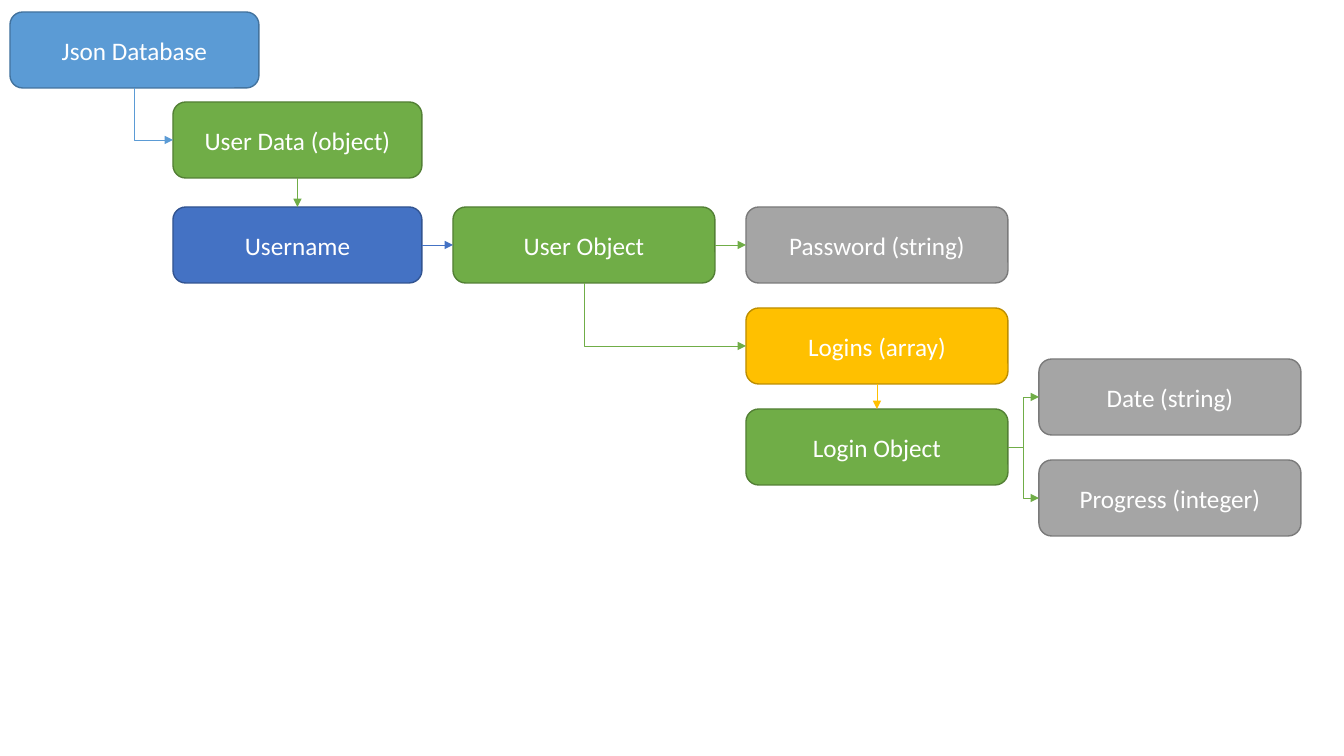
"""Build a slide that charts the structure of a Json user database."""
from lxml import etree
from pptx import Presentation
from pptx.dml.color import RGBColor
from pptx.enum.shapes import MSO_CONNECTOR, MSO_SHAPE
from pptx.enum.text import MSO_ANCHOR, PP_ALIGN
from pptx.oxml.ns import qn
from pptx.util import Pt

ROUNDED = MSO_SHAPE.ROUNDED_RECTANGLE
STRAIGHT, ELBOW = MSO_CONNECTOR.STRAIGHT, MSO_CONNECTOR.ELBOW
MIDDLE, CENTER = MSO_ANCHOR.MIDDLE, PP_ALIGN.CENTER
TOP, LEFT, BOTTOM, RIGHT = range(4)

SCALE = 914400 / 100.8
SLIDE_SIZE = (1344, 756)
BOX_HEIGHT = 76
COLUMNS = {"root": (10, 249), "user": (173, 249), "record": (453, 262),
           "field": (746, 262), "detail": (1039, 262)}
COLORS = {"database": ("5B9BD5", "43739E"), "object": ("70AD47", "538035"),
          "key": ("4472C4", "325491"), "value": ("A5A5A5", "7A7A7A"),
          "array": ("FFC000", "BD8E00")}
FONT = {"name": "Calibri", "size": Pt(18)}

BOXES = [
    ("Json Database", "root", 12, "database"),
    ("User Data (object)", "user", 102, "object"),
    ("Username", "user", 207, "key"),
    ("User Object", "record", 207, "object"),
    ("Password (string)", "field", 207, "value"),
    ("Logins (array)", "field", 308, "array"),
    ("Login Object", "field", 409, "object"),
    ("Date (string)", "detail", 359, "value"),
    ("Progress (integer)", "detail", 460, "value"),
]
ARROWS = [
    ("Json Database", BOTTOM, "User Data (object)", LEFT, "database"),
    ("User Data (object)", BOTTOM, "Username", TOP, "object"),
    ("Username", RIGHT, "User Object", LEFT, "key"),
    ("User Object", RIGHT, "Password (string)", LEFT, "object"),
    ("User Object", BOTTOM, "Logins (array)", LEFT, "object"),
    ("Logins (array)", BOTTOM, "Login Object", TOP, "array"),
    ("Login Object", RIGHT, "Date (string)", LEFT, "object"),
    ("Login Object", RIGHT, "Progress (integer)", LEFT, "object"),
]


def emu(pixels):
    return round(pixels * SCALE)


def color(value):
    return RGBColor.from_string(value)


def add_box(slide, text, column, top, kind):
    left, width = COLUMNS[column]
    shape = slide.shapes.add_shape(
        ROUNDED, emu(left), emu(top), emu(width), emu(BOX_HEIGHT))
    fill, outline = COLORS[kind]
    shape.shadow.inherit = False
    shape.fill.solid()
    shape.fill.fore_color.rgb = color(fill)
    shape.line.color.rgb = color(outline)
    shape.line.width = Pt(1)
    shape.text_frame.text = text
    shape.text_frame.vertical_anchor = MIDDLE
    paragraph = shape.text_frame.paragraphs[0]
    paragraph.alignment = CENTER
    font = paragraph.runs[0].font
    for name, value in FONT.items():
        setattr(font, name, value)
    font.color.rgb = color("FFFFFF")
    return shape


def site_point(shape, site):
    across = {LEFT: 0, RIGHT: 2}.get(site, 1)
    down = {TOP: 0, BOTTOM: 2}.get(site, 1)
    return (shape.left + shape.width * across // 2,
            shape.top + shape.height * down // 2)


def turn_down_then_right(connector, start, end):
    run, drop = end[0] - start[0], end[1] - start[1]
    connector.left = start[0] + (run - drop) // 2
    connector.top = start[1] + (drop - run) // 2
    connector.width, connector.height = drop, run
    properties = connector._element.spPr
    properties.find(qn("a:prstGeom")).set("prst", "bentConnector2")
    frame = properties.find(qn("a:xfrm"))
    frame.set("rot", "16200000")
    frame.set("flipH", "1")


def add_arrow(slide, source, source_site, target, target_site, kind):
    start, end = site_point(source, source_site), site_point(target, target_site)
    aligned = start[0] == end[0] or start[1] == end[1]
    connector = slide.shapes.add_connector(
        STRAIGHT if aligned else ELBOW, *start, *end)
    connector.begin_connect(source, source_site)
    connector.end_connect(target, target_site)
    if (source_site, target_site) == (BOTTOM, LEFT):
        turn_down_then_right(connector, start, end)
    connector.line.color.rgb = color(COLORS[kind][0])
    connector.line.width = Pt(0.5)
    properties = connector._element.spPr
    etree.SubElement(properties.find(qn("a:ln")), qn("a:tailEnd"), type="triangle")
    etree.SubElement(properties, qn("a:effectLst"))


def main():
    presentation = Presentation()
    presentation.slide_width, presentation.slide_height = map(emu, SLIDE_SIZE)
    slide = presentation.slides.add_slide(presentation.slide_layouts[6])
    boxes = {box[0]: add_box(slide, *box) for box in BOXES}
    for source, source_site, target, target_site, kind in ARROWS:
        add_arrow(slide, boxes[source], source_site,
                  boxes[target], target_site, kind)
    presentation.save("out.pptx")


main()
